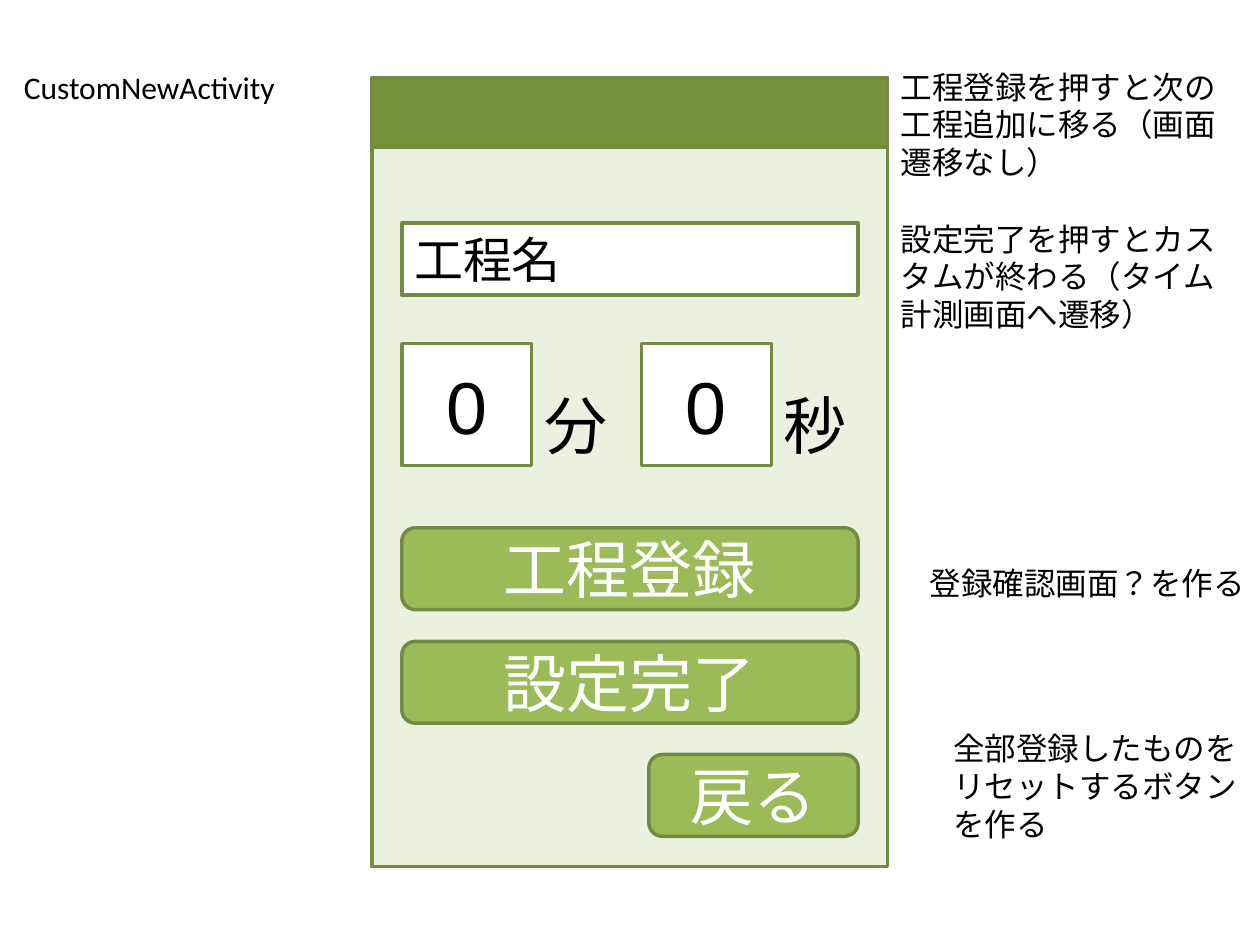
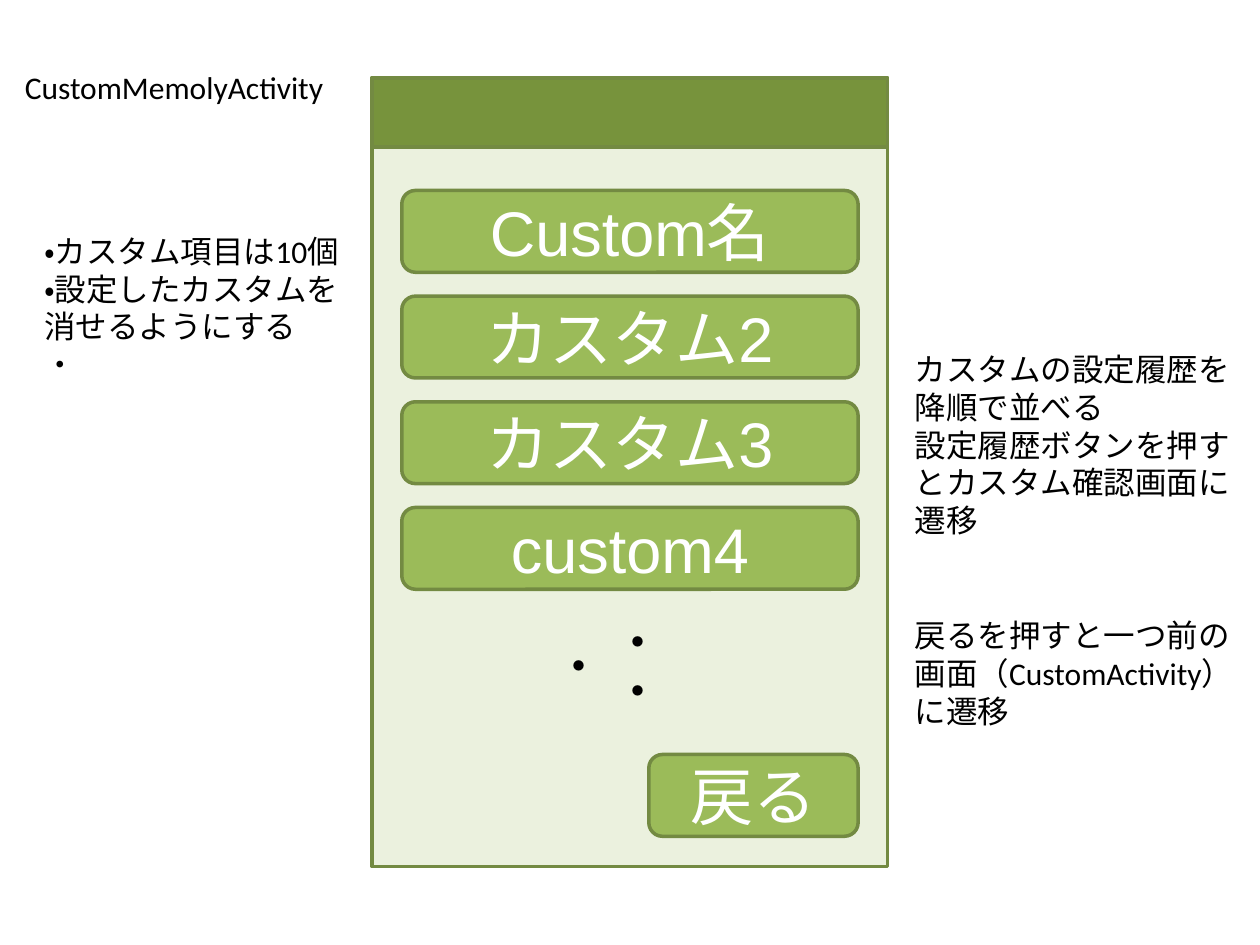
import pptx
import pptx.dml.color
import pptx.enum.lang
import pptx.enum.shapes
import pptx.enum.text
import pptx.util

Cm = pptx.util.Cm
Pt = pptx.util.Pt
Shape = pptx.enum.shapes.MSO_SHAPE
Align = pptx.enum.text.PP_ALIGN
Anchor = pptx.enum.text.MSO_ANCHOR
AutoSize = pptx.enum.text.MSO_AUTO_SIZE

COLORS = {
    "screen": "EBF1DE",
    "header": "77933C",
    "button": "9BBB59",
    "outline": "738A42",
    "white": "FFFFFF",
    "black": "000000",
}
SCREEN_LEFT, SCREEN_TOP, SCREEN_WIDTH, SCREEN_HEIGHT = 7.5, 1.57, 10.39, 15.9
HEADER_HEIGHT = 1.4
CONTENT_LEFT, CONTENT_WIDTH = 8.1, 9.2
CONTENT_RIGHT = CONTENT_LEFT + CONTENT_WIDTH
BUTTON_HEIGHT = 1.65
BACK_TOP, BACK_WIDTH = 15.21, 4.22
TITLE_TOP, TITLE_HEIGHT = 1.24, 1.02


def color(name):
    return pptx.dml.color.RGBColor.from_string(COLORS[name])


def write(box, *lines, size=18, font="Calibri", ink="black", align=Align.LEFT,
          anchor=Anchor.TOP, grow=False, gap=0):
    frame = box.text_frame
    frame.word_wrap = True
    frame.vertical_anchor = anchor
    frame.auto_size = AutoSize.SHAPE_TO_FIT_TEXT if grow else AutoSize.NONE
    for index, line in enumerate(lines):
        para = frame.add_paragraph() if index else frame.paragraphs[0]
        para.alignment = align
        span = para.add_run()
        span.text = line
        span.font.size = Pt(size)
        span.font.name = font
        span.font.color.rgb = color(ink)
        span.font.language_id = pptx.enum.lang.MSO_LANGUAGE_ID.JAPANESE
    if gap:
        para.space_before = Pt(gap)


class Wireframe:
    centred = {"font": "Arial", "align": Align.CENTER, "anchor": Anchor.MIDDLE}

    def __init__(self, deck):
        self.deck = deck
        self.page = None

    def start_page(self, title, left, width):
        self.page = self.deck.slides.add_slide(self.deck.slide_layouts[6])
        self.panel(SCREEN_LEFT, SCREEN_TOP, SCREEN_WIDTH, SCREEN_HEIGHT, "screen")
        self.panel(SCREEN_LEFT, SCREEN_TOP, SCREEN_WIDTH, HEADER_HEIGHT, "header")
        self.note(left, TITLE_TOP, width, TITLE_HEIGHT, title)
        self.button("戻る", BACK_TOP, BACK_WIDTH)

    def panel(self, left, top, width, height, fill, kind=Shape.RECTANGLE):
        box = self.page.shapes.add_shape(kind, Cm(left), Cm(top), Cm(width), Cm(height))
        box.shadow.inherit = False
        box.fill.solid()
        box.fill.fore_color.rgb = color(fill)
        box.line.color.rgb = color("outline")
        box.line.width = Pt(2)
        return box

    def button(self, label, top, width=CONTENT_WIDTH):
        box = self.panel(CONTENT_RIGHT - width, top, width, BUTTON_HEIGHT, "button",
                         Shape.ROUNDED_RECTANGLE)
        write(box, label, size=36, ink="white", **self.centred)

    def text_box(self, left, top, width, height):
        return self.page.shapes.add_textbox(Cm(left), Cm(top), Cm(width), Cm(height))

    def note(self, left, top, width, height, *lines, gap=0):
        write(self.text_box(left, top, width, height), *lines, grow=True, gap=gap)

    def name_field(self, label, top):
        box = self.panel(CONTENT_LEFT, top, CONTENT_WIDTH, 1.45, "white")
        write(box, label, size=28, font="Arial", grow=True)

    def time_field(self, left, top, unit):
        width, height, unit_height = 2.62, 2.46, 1.68
        write(self.panel(left, top, width, height, "white"), "0", size=42, **self.centred)
        unit_box = self.text_box(left + width, top + height - unit_height, 1.75, unit_height)
        write(unit_box, unit, size=36, **self.centred)

    def vertical_text(self, left, top, width, height, text):
        box = self.text_box(left, top, width, height)
        write(box, text, size=28, align=Align.CENTER, grow=True)
        box.element.txBody.bodyPr.set("vert", "eaVert")


def build_new_activity(wireframe):
    wireframe.start_page("CustomNewActivity", 0.23, 6.2)
    wireframe.name_field("工程名", 4.5)
    for index, unit in enumerate(("分", "秒")):
        wireframe.time_field(CONTENT_LEFT + index * 4.83, 6.93, unit)
    for index, label in enumerate(("工程登録", "設定完了")):
        wireframe.button(label, 10.64 + index * 2.29)
    wireframe.note(17.91, TITLE_TOP, 7.21, 5.64,
                   "工程登録を押すと次の工程追加に移る（画面遷移なし）",
                   "設定完了を押すとカスタムが終わる（タイム計測画面へ遷移）", gap=22)
    wireframe.note(18.49, 11.25, 6.91, 1.8, "登録確認画面？を作る")
    wireframe.note(18.97, 14.58, 6.43, 2.57, "全部登録したものをリセットするボタンを作る")


def build_memory_activity(wireframe):
    wireframe.start_page("CustomMemolyActivity", 0.25, 6.99)
    for index, label in enumerate(("Custom名", "カスタム2", "カスタム3", "custom4")):
        wireframe.button(label, 3.84 + index * 2.13)
    wireframe.vertical_text(11.84, 12.19, 1.7, 2.69, "・・・")
    wireframe.note(18.19, 6.93, 7.21, 7.19,
                   "カスタムの設定履歴を降順で並べる",
                   "設定履歴ボタンを押すとカスタム確認画面に遷移",
                   "戻るを押すと一つ前の画面（CustomActivity）に遷移", gap=44)
    wireframe.note(0.64, 4.55, 6.58, 3.33,
                   "・カスタム項目は10個", "・設定したカスタムを消せるようにする", "・")


def main():
    deck = pptx.Presentation()
    deck.slide_width, deck.slide_height = Cm(25.4), Cm(19.05)
    wireframe = Wireframe(deck)
    build_new_activity(wireframe)
    build_memory_activity(wireframe)
    deck.save("out.pptx")


if __name__ == "__main__":
    main()
